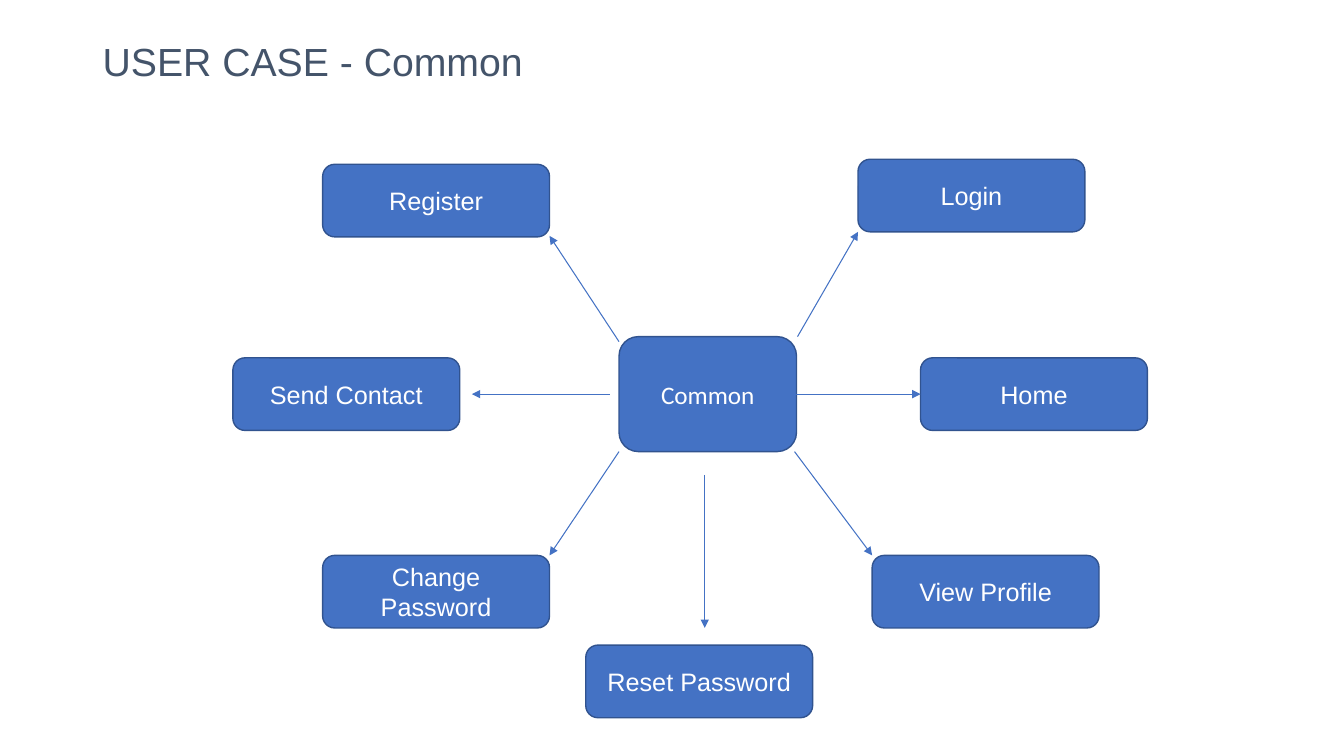
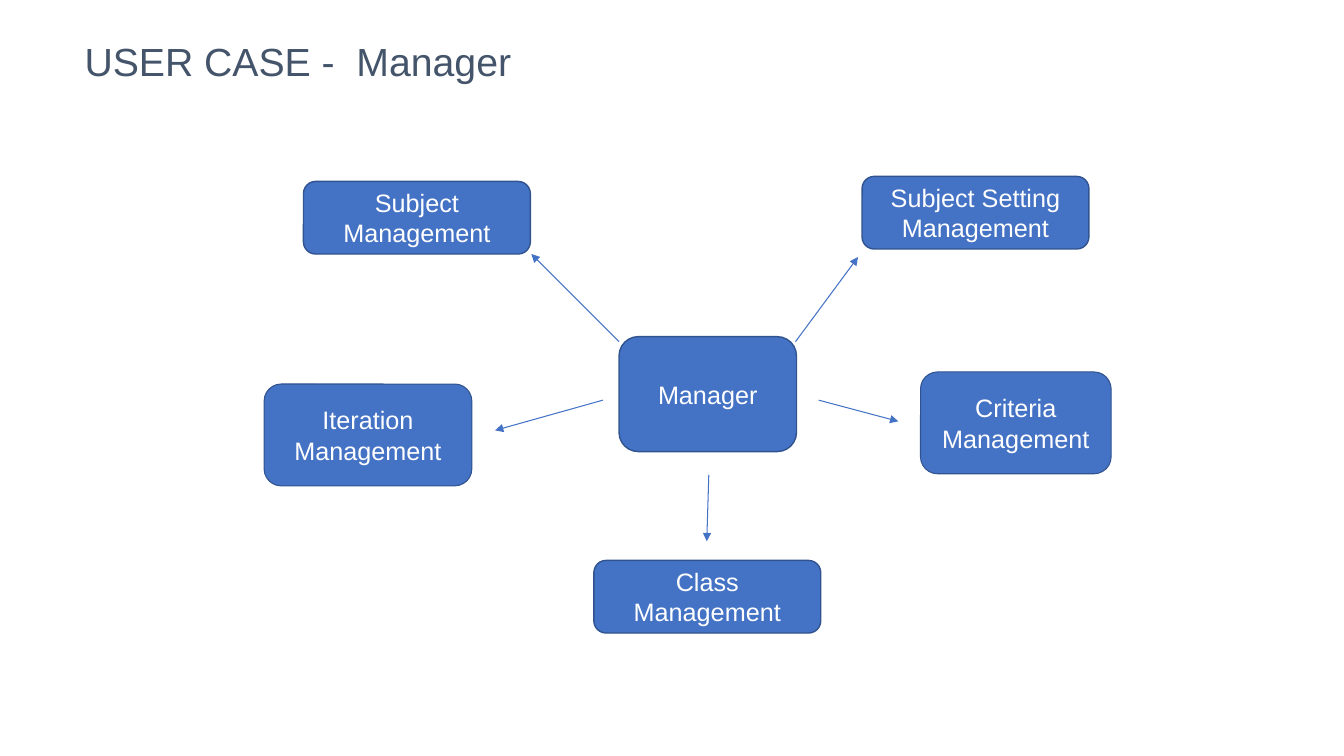
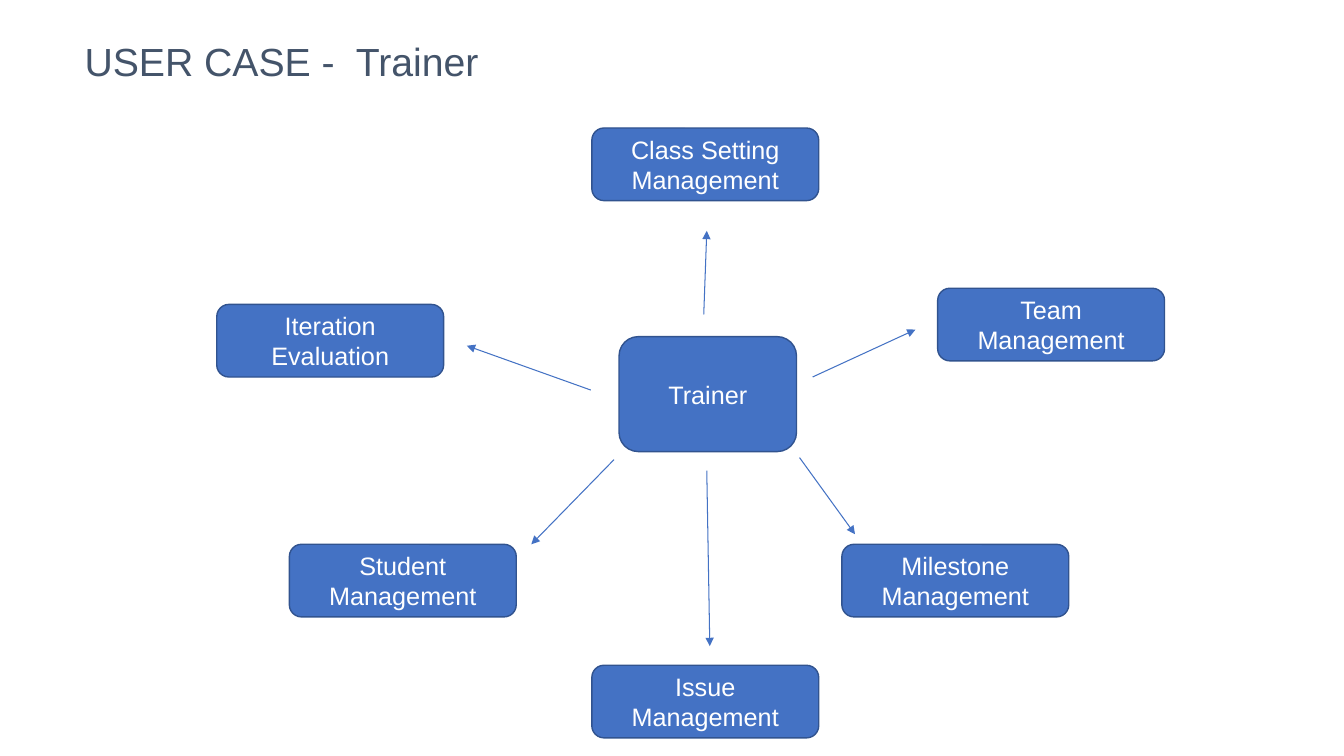
"""Build three use case diagrams, each with a central role and arrows to its functions."""
from pptx import Presentation
from pptx.dml.color import RGBColor
from pptx.enum.shapes import MSO_CONNECTOR, MSO_SHAPE
from pptx.enum.text import MSO_ANCHOR, PP_ALIGN
from pptx.oxml.ns import qn
from pptx.util import Inches, Pt
from lxml.etree import SubElement

BLUE = RGBColor(0x44, 0x72, 0xC4)
NAVY = RGBColor(0x31, 0x53, 0x8F)
SLATE = RGBColor(0x44, 0x54, 0x6A)
WHITE = RGBColor(0xFF, 0xFF, 0xFF)

HUB = (6.14, 3.34, 1.76, 1.14)
CASE_SIZE = (2.25, 0.72)

DIAGRAMS = [
    {
        "title": "USER CASE - Common", "left": 0.92, "hub": "Common", "hub_font": "Calibri",
        "cases": [
            ("Home", (9.13, 3.55), CASE_SIZE, (7.89, 3.91), (9.13, 3.91)),
            ("Register", (3.2, 1.63), CASE_SIZE, (6.14, 3.39), (5.45, 2.34)),
            ("Send Contact", (2.31, 3.55), CASE_SIZE, (6.05, 3.91), (4.68, 3.91)),
            ("View Profile", (8.65, 5.51), CASE_SIZE, (7.88, 4.48), (8.65, 5.51)),
            ("Login", (8.51, 1.58), CASE_SIZE, (7.91, 3.34), (8.51, 2.3)),
            ("Change Password", (3.2, 5.51), CASE_SIZE, (6.14, 4.48), (5.45, 5.51)),
            ("Reset Password", (5.81, 6.4), CASE_SIZE, (6.99, 4.71), (6.99, 6.23)),
        ],
    },
    {
        "title": "USER CASE -  Manager", "left": 0.74, "hub": "Manager", "hub_font": "Arial",
        "cases": [
            ("Subject Management", (3.01, 1.8), CASE_SIZE, (6.14, 3.39), (5.27, 2.52)),
            ("Class Management", (5.89, 5.56), CASE_SIZE, (7.03, 4.71), (7.01, 5.37)),
            ("Subject Setting\nManagement", (8.55, 1.75), CASE_SIZE, (7.89, 3.39), (8.51, 2.55)),
            ("Iteration Management", (2.62, 3.81), (2.06, 1.01), (5.98, 3.97), (4.91, 4.27)),
            ("Criteria Management", (9.13, 3.69), (1.89, 1.01), (8.12, 3.97), (8.91, 4.18)),
        ],
    },
    {
        "title": "USER CASE -  Trainer", "left": 0.74, "hub": "Trainer", "hub_font": "Arial",
        "cases": [
            ("Milestone Management", (8.35, 5.4), CASE_SIZE, (7.93, 4.54), (8.48, 5.3)),
            ("Class Setting Management", (5.87, 1.27), CASE_SIZE, (6.98, 3.12), (7.01, 2.29)),
            ("Student Management", (2.87, 5.4), CASE_SIZE, (6.09, 4.56), (5.27, 5.4)),
            ("Team Management", (9.3, 2.86), CASE_SIZE, (8.06, 3.74), (9.08, 3.27)),
            ("Iteration Evaluation", (2.15, 3.02), CASE_SIZE, (5.86, 3.87), (4.63, 3.43)),
            ("Issue Management", (5.87, 6.6), CASE_SIZE, (7.01, 4.67), (7.04, 6.41)),
        ],
    },
]


def write(sp, text, size, color, align, font="Arial"):
    tf = sp.text_frame
    tf.word_wrap = True
    tf.vertical_anchor = MSO_ANCHOR.MIDDLE
    tf.text = text
    for p in tf.paragraphs:
        p.alignment = align
        for r in p.runs:
            r.font.name = font
            r.font.size = Pt(size)
            r.font.color.rgb = color


def add_box(s, text, x, y, w, h, font="Arial"):
    sp = s.shapes.add_shape(MSO_SHAPE.ROUNDED_RECTANGLE, Inches(x), Inches(y), Inches(w), Inches(h))
    sp.shadow.inherit = False
    sp.fill.solid()
    sp.fill.fore_color.rgb = BLUE
    sp.line.color.rgb = NAVY
    sp.line.width = Pt(1 if h != 1.01 else 0.75)
    write(sp, text, 18, WHITE, PP_ALIGN.CENTER, font)


prs = Presentation()
prs.slide_width = Inches(13.33)
prs.slide_height = Inches(7.5)

for diagram in DIAGRAMS:
    s = prs.slides.add_slide(prs.slide_layouts[6])
    title = s.shapes.add_textbox(Inches(diagram["left"]), Inches(0.4), Inches(6.15), Inches(0.47))
    write(title, diagram["title"], 28, SLATE, PP_ALIGN.LEFT)
    title.text_frame.paragraphs[0].line_spacing = 0.9
    add_box(s, diagram["hub"], *HUB, diagram["hub_font"])

    for text, corner, size, start, end in diagram["cases"]:
        add_box(s, text, *corner, *size)
        arrow = s.shapes.add_connector(MSO_CONNECTOR.STRAIGHT, *map(Inches, start + end))
        arrow.line.color.rgb = BLUE
        arrow.line.width = Pt(0.75)
        SubElement(arrow.line._get_or_add_ln(), qn("a:tailEnd"), type="triangle")
        SubElement(arrow._element.spPr, qn("a:effectLst"))

prs.save("out.pptx")
